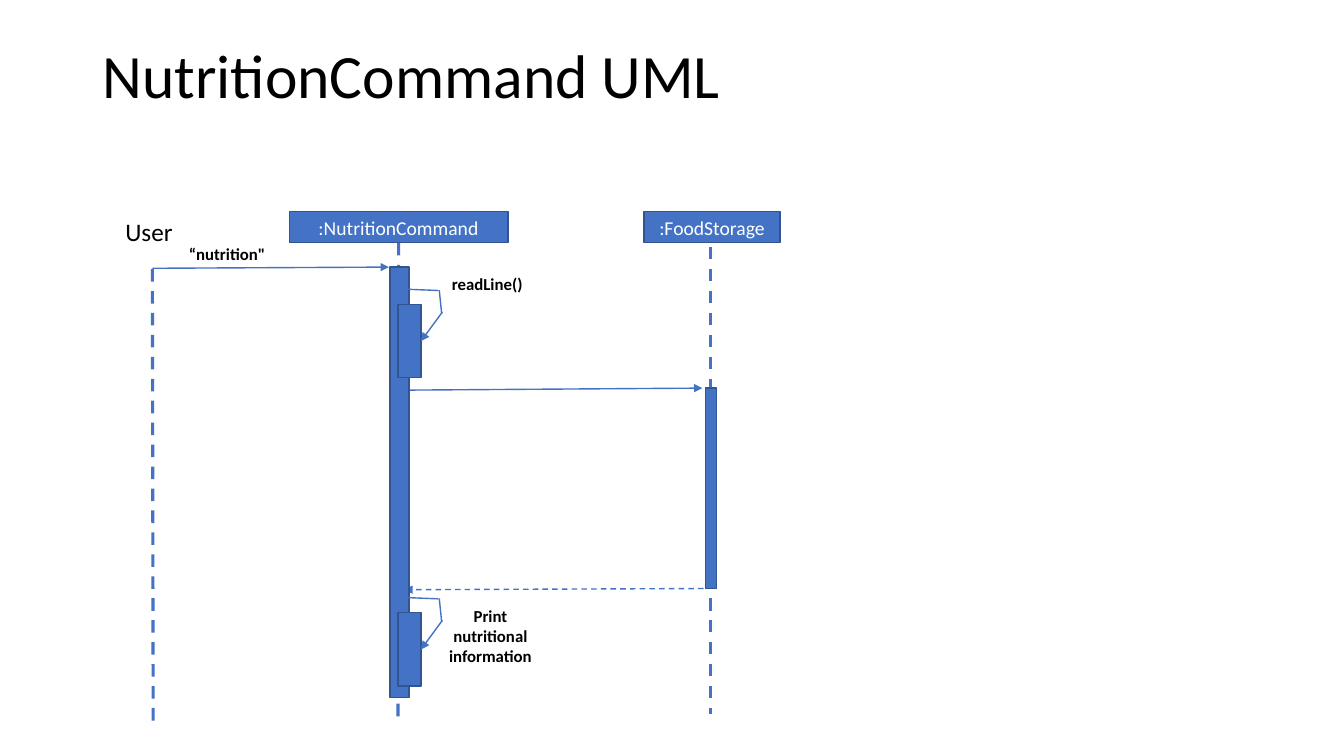
from lxml import etree
from pptx import Presentation
from pptx.dml.color import RGBColor
from pptx.enum.dml import MSO_LINE
from pptx.enum.shapes import MSO_CONNECTOR, MSO_SHAPE
from pptx.enum.text import MSO_ANCHOR as ANCHOR, PP_ALIGN as ALIGN
from pptx.oxml.ns import qn
from pptx.util import Cm, Pt

FONT = "Calibri"
BLUE, EDGE, BLACK, WHITE = "4472C4", "325491", "000000", "FFFFFF"
HEAD_Y, HEAD_H = 5.33, 0.79
INNER_X, INNER_W, INNER_H = 10.03, 0.58, 1.85


def paint(color_format, color):
    color_format.rgb = RGBColor.from_string(color)


def write(sp, text, size=12, color=BLACK, bold=False, align=ALIGN.CENTER,
          anchor=ANCHOR.TOP, spacing=None):
    tf = sp.text_frame
    tf.word_wrap = True
    tf.vertical_anchor = anchor
    p = tf.paragraphs[0]
    p.alignment = align
    p.line_spacing = spacing
    r = p.add_run()
    r.text = text
    r.font.name, r.font.size, r.font.bold = FONT, Pt(size), bold
    paint(r.font.color, color)


def add_label(slide, text, x, y, w, h, **fmt):
    sp = slide.shapes.add_textbox(Cm(x), Cm(y), Cm(w), Cm(h))
    write(sp, text, **fmt)


def add_bar(slide, x, y, w, h):
    sp = slide.shapes.add_shape(MSO_SHAPE.RECTANGLE, Cm(x), Cm(y), Cm(w), Cm(h))
    sp.shadow.inherit = False
    sp.fill.solid()
    paint(sp.fill.fore_color, BLUE)
    paint(sp.line.color, EDGE)
    sp.line.width = Pt(1)
    return sp


def add_participant(slide, text, x, w):
    sp = add_bar(slide, x, HEAD_Y, w, HEAD_H)
    write(sp, text, size=14, color=WHITE, anchor=ANCHOR.MIDDLE)
    return sp


def add_line(slide, x1, y1, x2, y2, width=1, dashed=False, arrow=False):
    line = slide.shapes.add_connector(
        MSO_CONNECTOR.STRAIGHT, Cm(x1), Cm(y1), Cm(x2), Cm(y2))
    paint(line.line.color, BLUE)
    line.line.width = Pt(width)
    if dashed:
        line.line.dash_style = MSO_LINE.DASH
    if arrow:
        ln = line.line._get_or_add_ln()
        etree.SubElement(ln, qn("a:tailEnd"), type="triangle")
    etree.SubElement(line._element.spPr, qn("a:effectLst"))
    return line


def add_lifeline(slide, x1, y1, x2, y2):
    return add_line(slide, x1, y1, x2, y2, width=2.25, dashed=True)


def add_self_call(slide, y):
    """Draw a nested activation with its top at y and the loop that leads to it."""
    inner = add_bar(slide, INNER_X, y, INNER_W, INNER_H)
    add_line(slide, 10.29, y - 0.38, 11.05, y - 0.35)
    add_line(slide, 11.07, y - 0.36, 11.13, y + 0.23)
    back = add_line(slide, 11.15, y + 0.19, INNER_X + INNER_W, y + INNER_H / 2,
                    arrow=True)
    back.end_connect(inner, 3)


def main():
    prs = Presentation()
    prs.slide_width, prs.slide_height = Cm(33.87), Cm(19.05)
    slide = prs.slides.add_slide(prs.slide_layouts[6])

    add_label(slide, "NutritionCommand UML", 2.34, 0.15, 29.21, 3.68, size=44,
              align=ALIGN.LEFT, anchor=ANCHOR.MIDDLE, spacing=0.9)

    add_label(slide, "User", 2.46, HEAD_Y, 2.59, 1.02, size=18)
    command = add_participant(slide, ":NutritionCommand", 7.29, 5.51)
    add_participant(slide, ":FoodStorage", 16.23, 3.43)

    add_line(slide, 3.84, 6.76, 9.8, 6.73, arrow=True)
    add_line(slide, 10.29, 9.83, 17.7, 9.78, arrow=True)
    add_line(slide, 17.73, 14.83, 10.19, 14.86, dashed=True, arrow=True)

    add_lifeline(slide, 3.84, 6.78, 3.86, 18.21)
    command_life = add_lifeline(slide, 10.06, 6.12, 10.03, 18.19)
    command_life.begin_connect(command, 2)
    add_lifeline(slide, 17.91, 6.22, 17.91, 17.98)

    add_bar(slide, 9.83, 6.73, 0.48, 10.85)
    add_bar(slide, 17.78, 9.78, 0.28, 5.05)
    for y in (7.67, 15.44):
        add_self_call(slide, y)

    add_label(slide, "“nutrition\"", 4.34, 6.02, 2.77, 0.76, bold=True)
    add_label(slide, "readLine()", 10.92, 6.78, 2.72, 0.76, bold=True)
    add_label(slide, "Print nutritional information", 11, 15.14, 2.72, 1.8,
              bold=True)

    prs.save("out.pptx")


if __name__ == "__main__":
    main()
